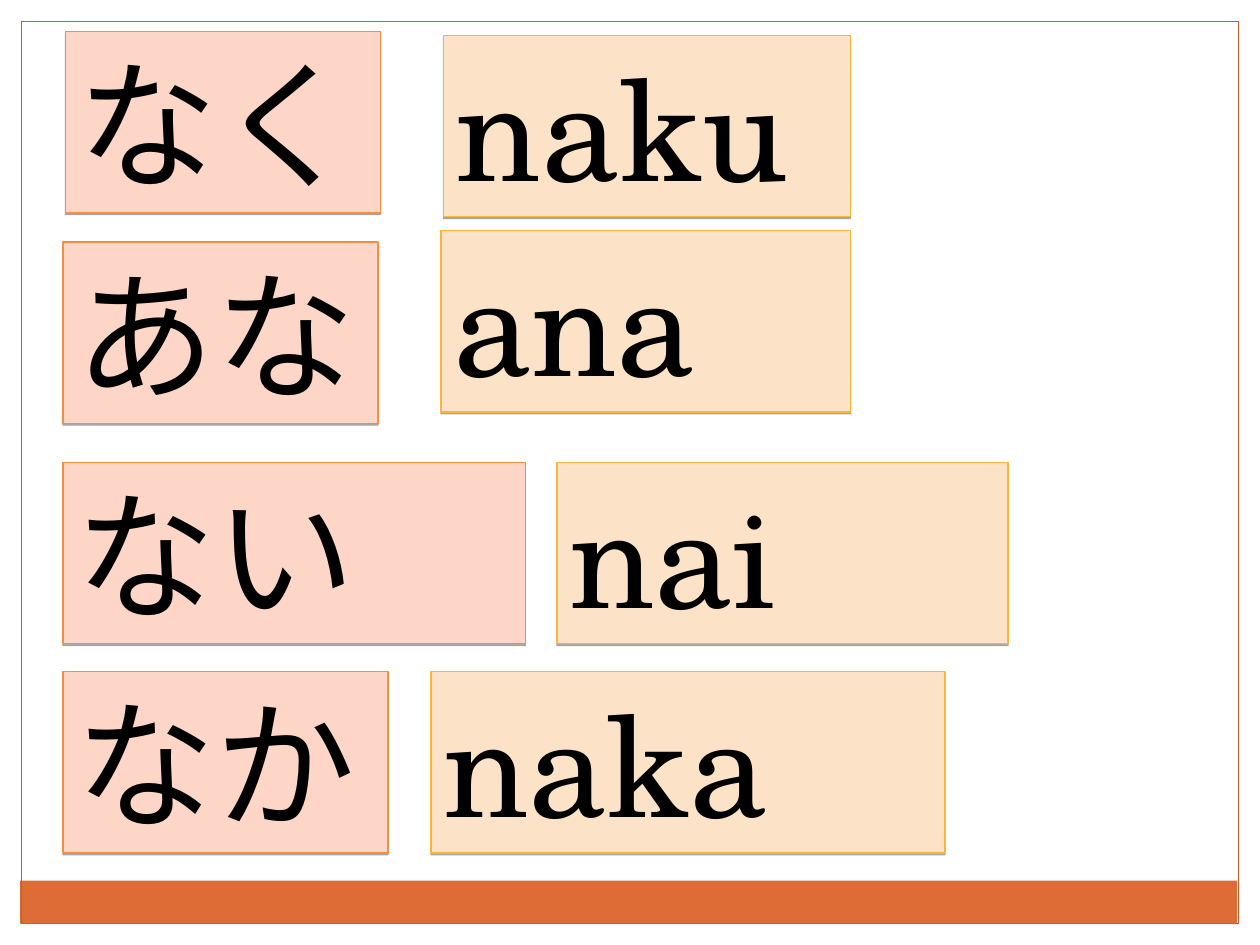
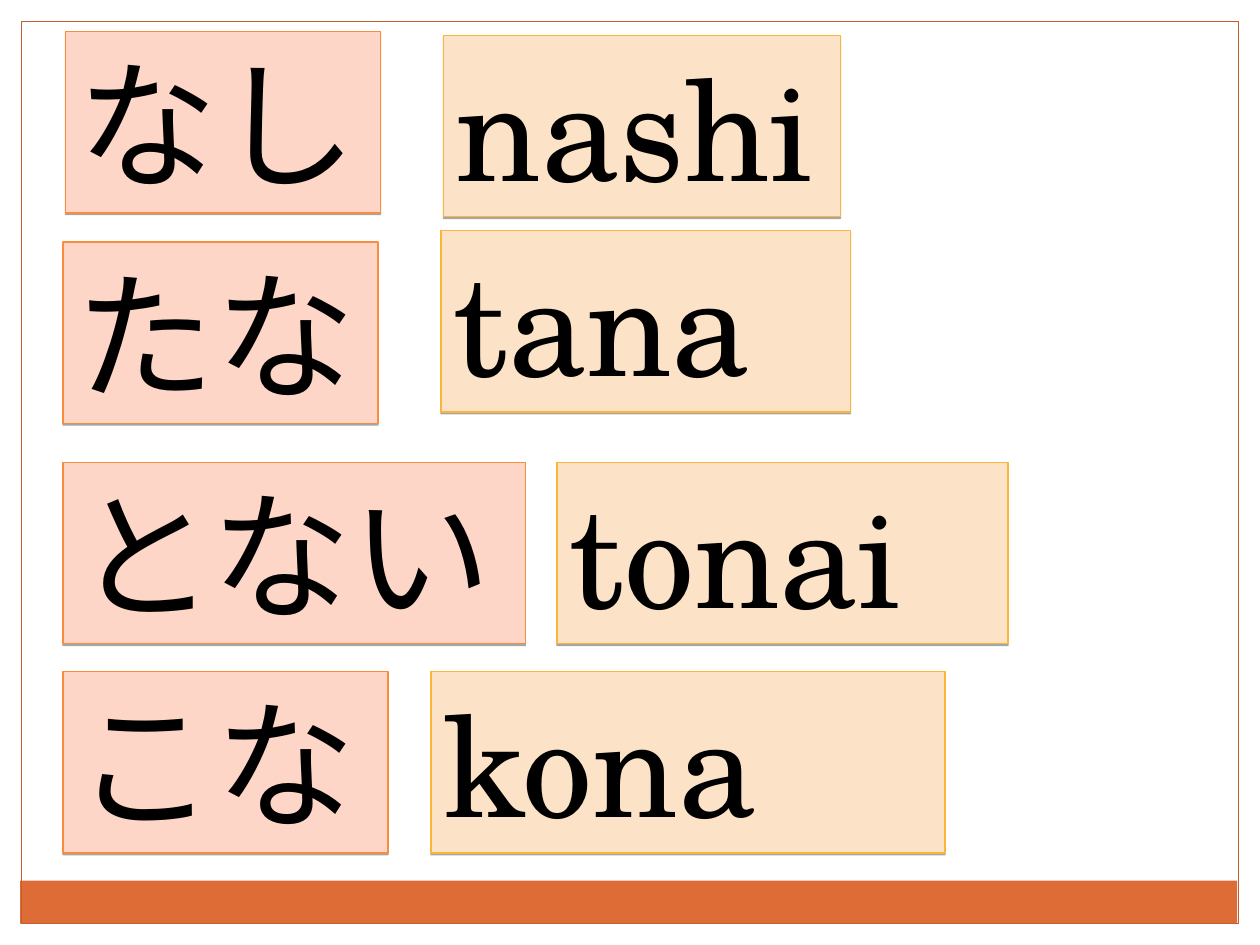
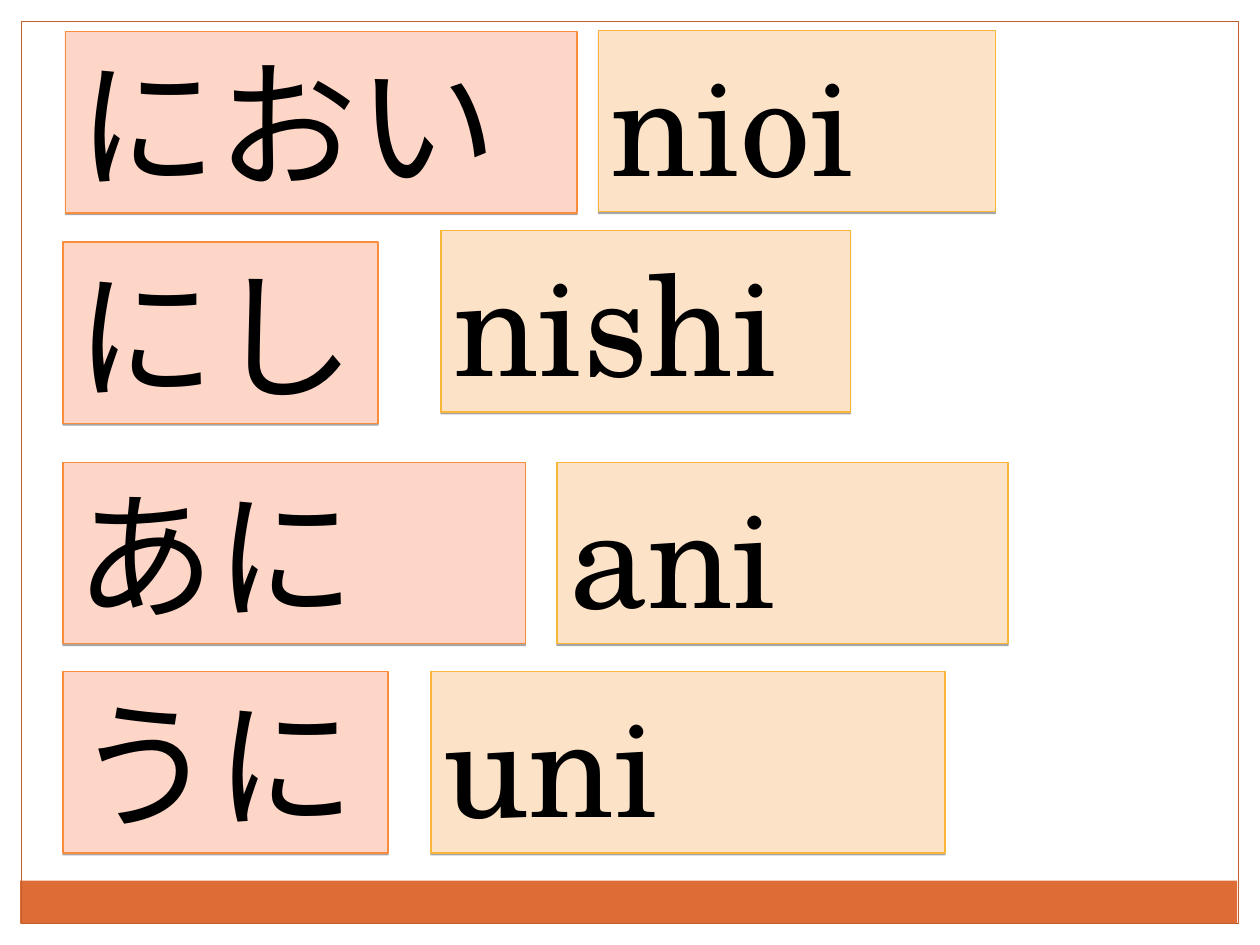
from lxml.etree import SubElement
from pptx import Presentation
from pptx.dml.color import RGBColor
from pptx.enum.shapes import MSO_SHAPE
from pptx.enum.text import MSO_ANCHOR, MSO_AUTO_SIZE, PP_ALIGN
from pptx.oxml.ns import qn
from pptx.util import Inches, Pt

BAND = "DE6C36"
FRAME = "C35E2E"
INK = "000000"
# fill, line and font of each kind of card
KANA = ("FDD6C7", "FA8D3D", "Calibri")
ROMAJI = ("FCE2C7", "F9B639", "TeX Gyre Schola")

CARD_HEIGHT = 1.44
# Each row holds (left, top, width) of the kana card, then of the romaji card
FIRST_ROW = ((0.52, 0.25, 2.5), (3.52, 0.28, 3.23))
FIRST_ROW_NARROW = ((0.52, 0.25, 2.5), (3.52, 0.28, 3.15))
FIRST_ROW_LONG = ((0.52, 0.25, 4.06), (4.75, 0.24, 3.15))
OTHER_ROWS = (
    ((0.5, 1.92, 2.5), (3.5, 1.83, 3.25)),
    ((0.5, 3.67, 3.67), (4.42, 3.67, 3.58)),
    ((0.5, 5.33, 2.58), (3.42, 5.33, 4.08)),
)

PAGES = (
    (FIRST_ROW, (("なく", "naku"), ("あな", "ana"), ("ない", "nai"), ("なか", "naka"))),
    (FIRST_ROW_NARROW, (("なし", "nashi"), ("たな", "tana"), ("とない", "tonai"), ("こな", "kona"))),
    (FIRST_ROW_LONG, (("におい", "nioi"), ("にし", "nishi"), ("あに", "ani"), ("うに", "uni"))),
)


def color(value):
    return RGBColor.from_string(value)


def add_rect(page, left, top, width, height, fill=None, line=None):
    rect = page.shapes.add_shape(
        MSO_SHAPE.RECTANGLE, Inches(left), Inches(top), Inches(width), Inches(height))
    rect.shadow.inherit = False
    if fill:
        rect.fill.solid()
        rect.fill.fore_color.rgb = color(fill)
    else:
        rect.fill.background()
    if line:
        rect.line.color.rgb = color(line)
        rect.line.width = Pt(0.75)
    else:
        rect.line.fill.background()
    return rect


def add_drop_shadow(shape):
    effects = shape.element.spPr.find(qn("a:effectLst"))
    shadow = SubElement(effects, qn("a:outerShdw"), blurRad="0", dist=str(Pt(1)),
                        dir="5400000", rotWithShape="0")
    tint = SubElement(shadow, qn("a:srgbClr"), val=INK)
    SubElement(tint, qn("a:alpha"), val="35000")


def add_card(page, place, text, style):
    fill, line, font = style
    card = add_rect(page, *place, CARD_HEIGHT, fill, line)
    add_drop_shadow(card)
    frame = card.text_frame
    frame.word_wrap = True
    frame.auto_size = MSO_AUTO_SIZE.SHAPE_TO_FIT_TEXT
    frame.vertical_anchor = MSO_ANCHOR.TOP
    para = frame.paragraphs[0]
    para.alignment = PP_ALIGN.LEFT
    span = para.add_run()
    span.text = text
    span.font.name = font
    span.font.size = Pt(80)
    span.font.color.rgb = color(INK)


def add_border(page):
    add_rect(page, 0.16, 6.99, 9.66, 0.34, fill=BAND)
    add_rect(page, 0.17, 0.17, 9.66, 7.16, line=FRAME)


def add_word_page(deck, first_row, words):
    page = deck.slides.add_slide(deck.slide_layouts[6])
    add_border(page)
    for places, pair in zip((first_row, *OTHER_ROWS), words):
        for place, text, style in zip(places, pair, (KANA, ROMAJI)):
            add_card(page, place, text, style)


def main():
    deck = Presentation()
    deck.slide_width = Inches(10)
    deck.slide_height = Inches(7.5)
    for first_row, words in PAGES:
        add_word_page(deck, first_row, words)
    deck.save("out.pptx")


if __name__ == "__main__":
    main()
